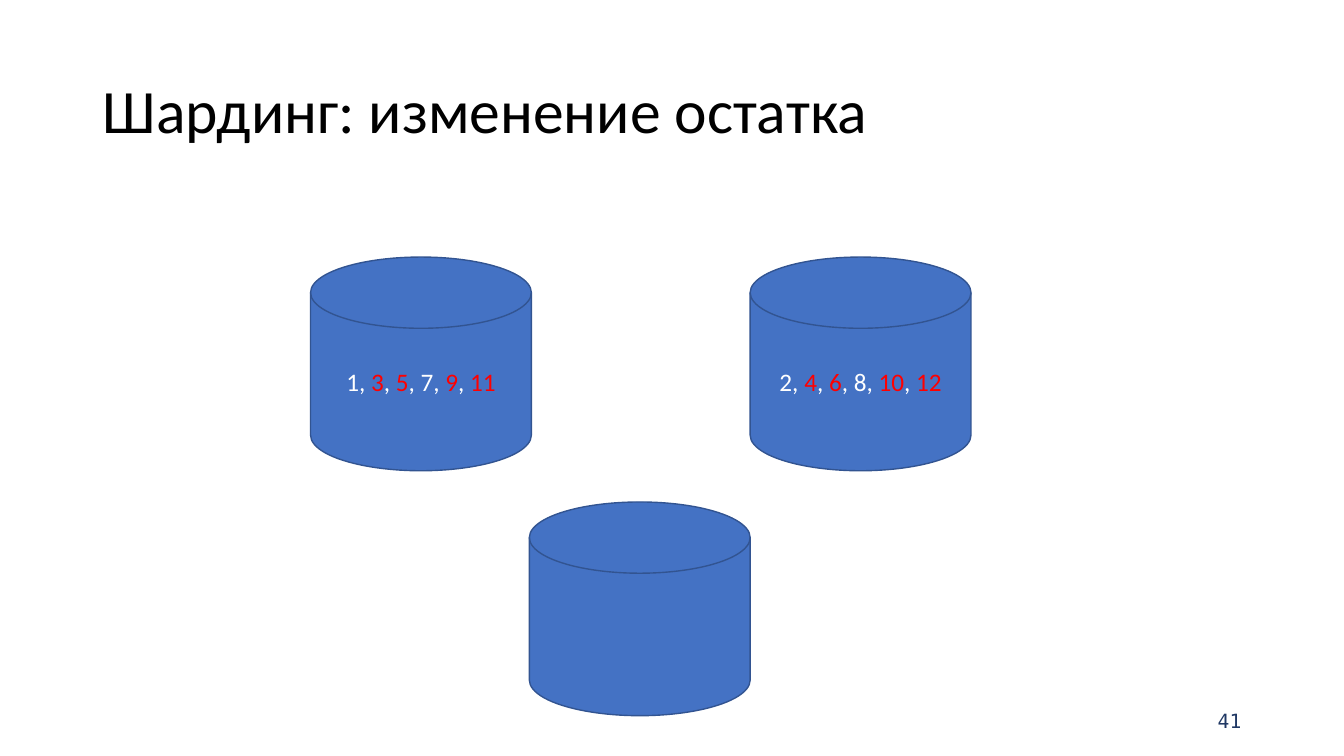
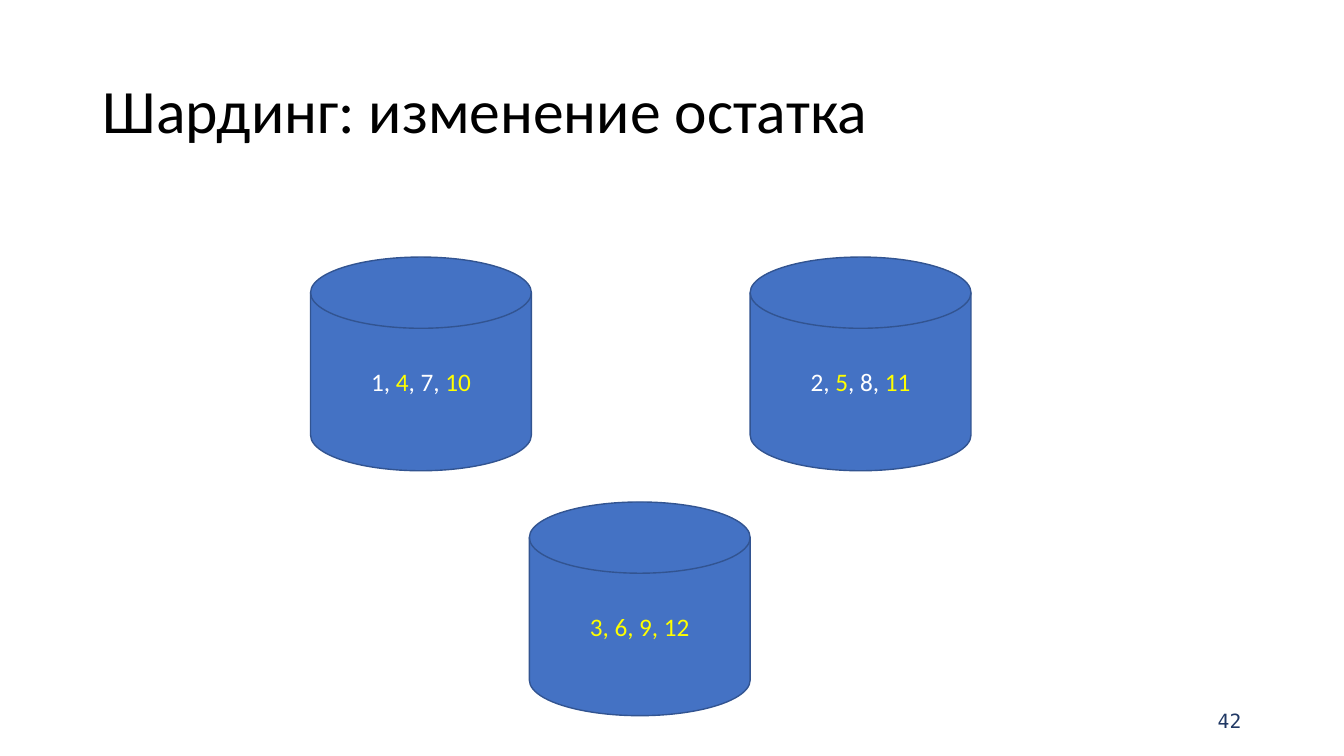
from dataclasses import dataclass

from pptx import Presentation
from pptx.dml.color import RGBColor
from pptx.enum.shapes import MSO_SHAPE
from pptx.enum.text import MSO_ANCHOR, MSO_AUTO_SIZE, PP_ALIGN
from pptx.slide import Slide
from pptx.text.text import Font
from pptx.util import Inches, Pt


@dataclass(frozen=True)
class Theme:
    face: str = "Calibri"
    mono: str = "DejaVu Sans Mono"
    ink: str = "000000"
    navy: str = "203864"
    fill: str = "4472C4"
    edge: str = "325491"
    white: str = "FFFFFF"
    red: str = "FF0000"
    gold: str = "FFFF00"
    head: int = 44
    body: int = 18
    foot: int = 14


@dataclass(frozen=True)
class Page:
    number: int
    mark: str  # colour of the keys that move
    shards: tuple[str, ...]  # bars enclose the keys that move


THEME = Theme()
TITLE = "Шардинг: изменение остатка"
DISK_W, DISK_H = 2.19, 2.12
SPOTS = ((3.08, 2.55), (7.44, 2.55), (5.25, 4.98))
PAGES = (
    Page(41, THEME.red,
         ("1, |3|, |5|, 7, |9|, |11", "2, |4|, |6|, 8, |10|, |12", "")),
    Page(42, THEME.gold,
         ("1, |4|, 7, |10", "2, |5|, 8, |11", "|3, 6, 9, 12")),
)


def style(font: Font, size: int, tone: str, face: str = THEME.face) -> None:
    font.name = face
    font.size = Pt(size)
    font.color.rgb = RGBColor.from_string(tone)


def add_title(slide: Slide) -> None:
    title = slide.shapes.title
    title.left, title.top = Inches(0.92), Inches(0.4)
    title.width, title.height = Inches(11.5), Inches(1.45)
    frame = title.text_frame
    frame.text = TITLE
    frame.auto_size = MSO_AUTO_SIZE.NONE
    frame.vertical_anchor = MSO_ANCHOR.MIDDLE
    para = frame.paragraphs[0]
    para.alignment = PP_ALIGN.LEFT
    para.line_spacing = 0.9
    style(para.runs[0].font, THEME.head, THEME.ink)


def add_number(slide: Slide, number: int) -> None:
    box = slide.shapes.add_textbox(
        Inches(9.42), Inches(6.95), Inches(2.99), Inches(0.4))
    frame = box.text_frame
    frame.text = str(number)
    frame.word_wrap = True
    frame.vertical_anchor = MSO_ANCHOR.MIDDLE
    para = frame.paragraphs[0]
    para.alignment = PP_ALIGN.RIGHT
    style(para.runs[0].font, THEME.foot, THEME.navy, THEME.mono)


def add_disk(slide: Slide, left: float, top: float, keys: str, mark: str) -> None:
    disk = slide.shapes.add_shape(
        MSO_SHAPE.FLOWCHART_MAGNETIC_DISK,
        Inches(left), Inches(top), Inches(DISK_W), Inches(DISK_H))
    disk.shadow.inherit = False
    disk.fill.solid()
    disk.fill.fore_color.rgb = RGBColor.from_string(THEME.fill)
    disk.line.color.rgb = RGBColor.from_string(THEME.edge)
    disk.line.width = Pt(1)
    frame = disk.text_frame
    frame.vertical_anchor = MSO_ANCHOR.MIDDLE
    para = frame.paragraphs[0]
    para.alignment = PP_ALIGN.CENTER
    # Every second part is marked
    for i, part in enumerate(keys.split("|")):
        if part:
            run = para.add_run()
            run.text = part
            style(run.font, THEME.body, mark if i % 2 else THEME.white)


def main() -> None:
    deck = Presentation()
    deck.slide_width, deck.slide_height = Inches(13.33), Inches(7.5)
    for page in PAGES:
        slide = deck.slides.add_slide(deck.slide_layouts.get_by_name("Title Only"))
        add_title(slide)
        add_number(slide, page.number)
        for (left, top), keys in zip(SPOTS, page.shards):
            add_disk(slide, left, top, keys, page.mark)
    deck.save("out.pptx")


if __name__ == "__main__":
    main()
